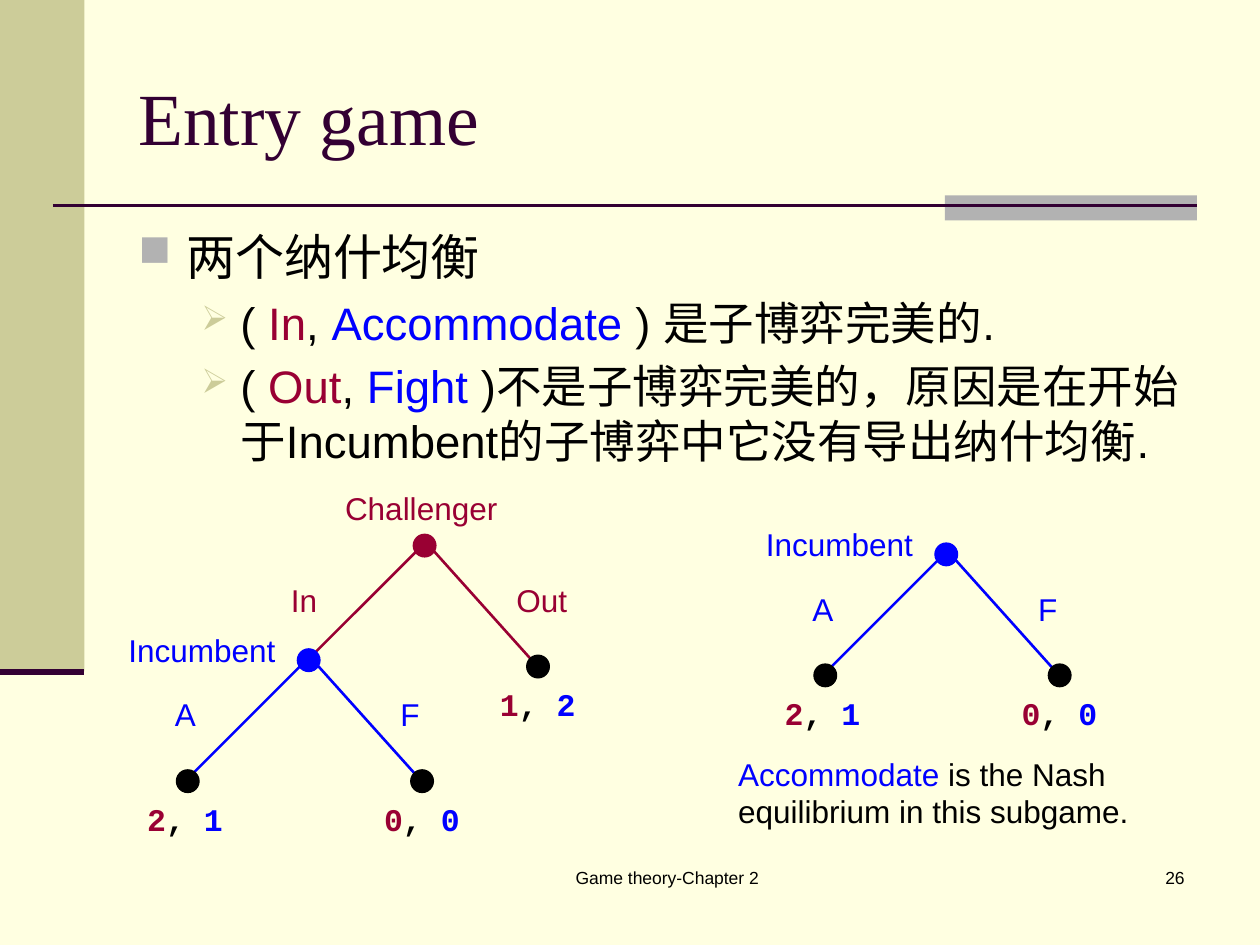
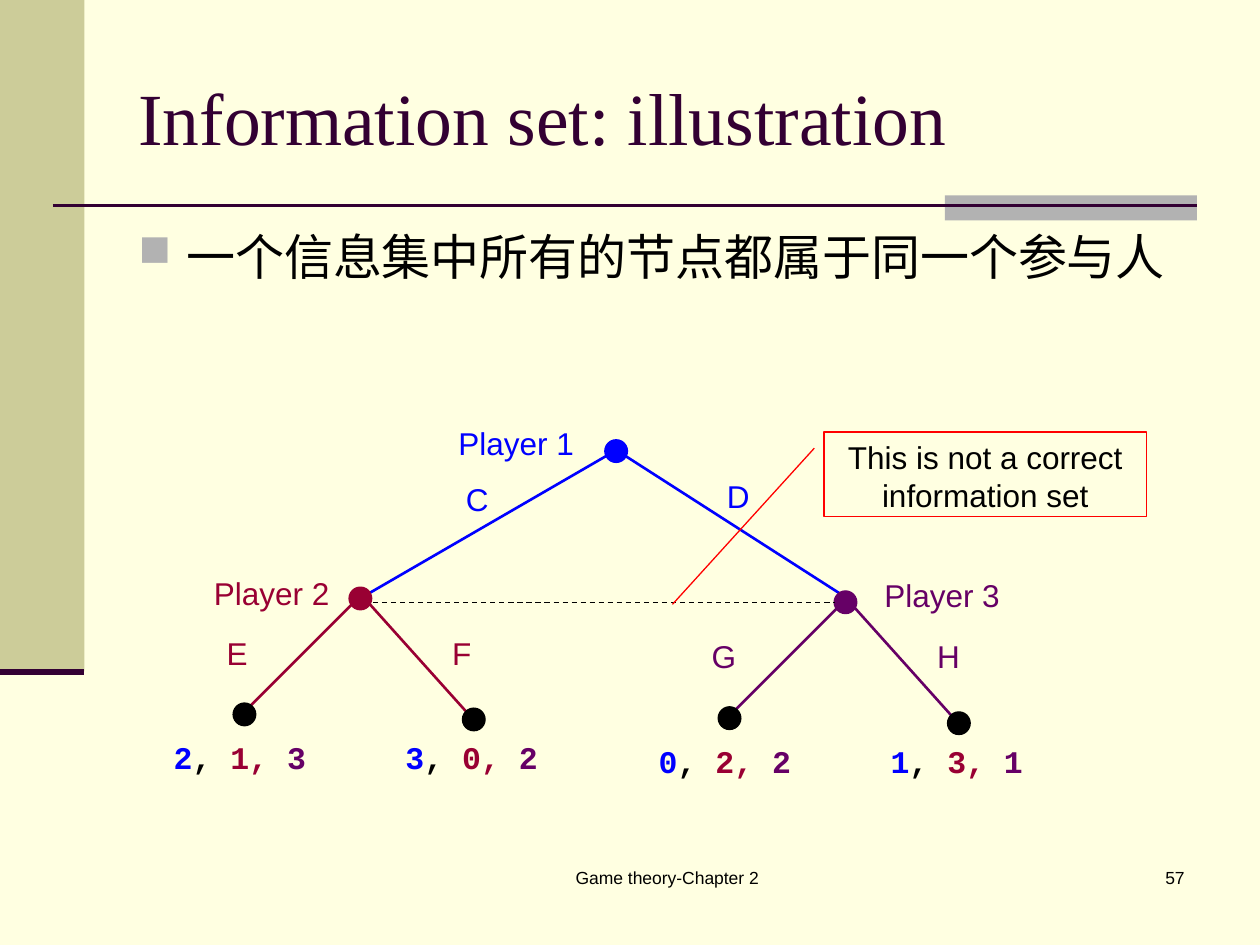
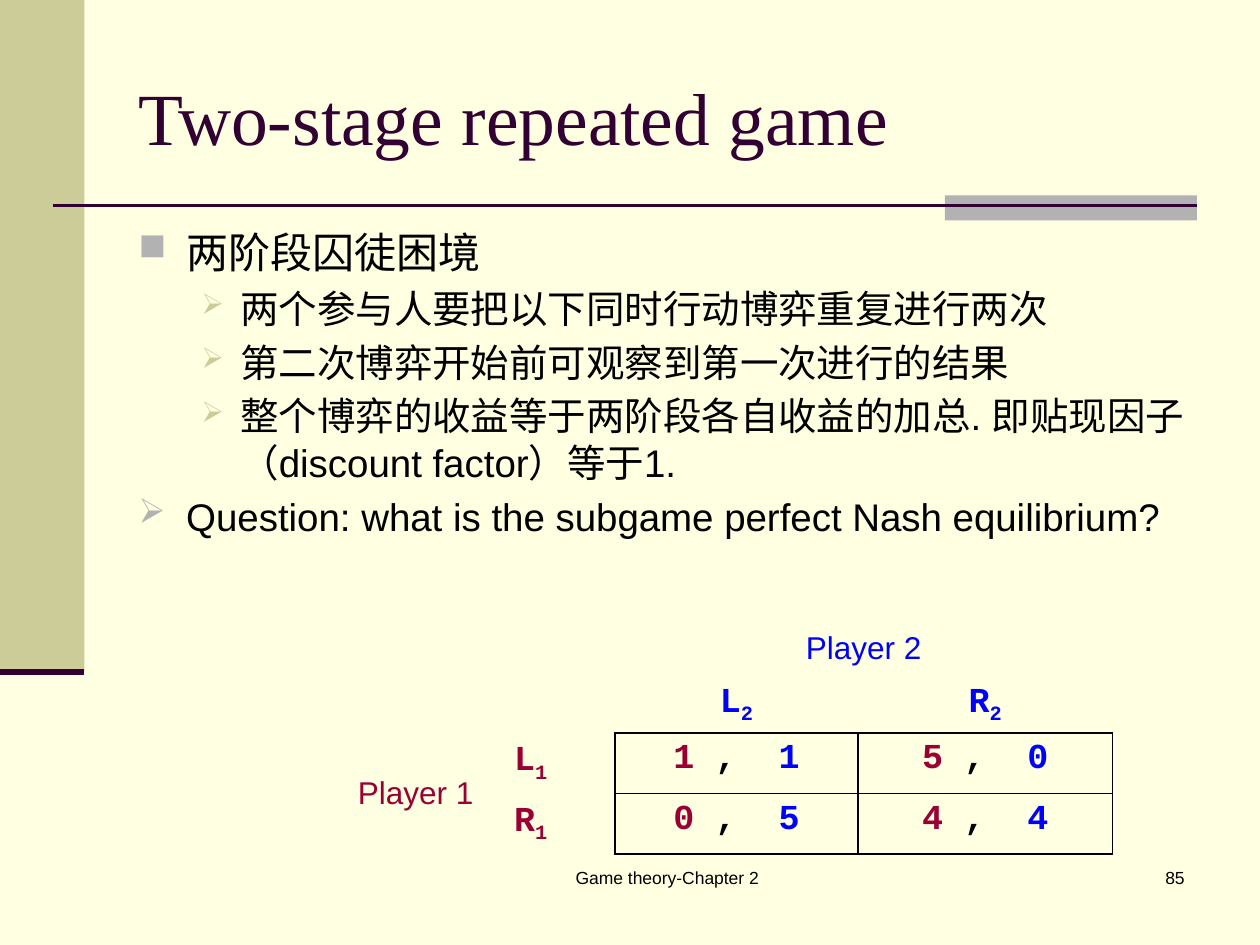
from lxml.etree import SubElement
from pptx import Presentation
from pptx.dml.color import RGBColor
from pptx.enum.dml import MSO_LINE
from pptx.enum.shapes import MSO_CONNECTOR, MSO_SHAPE
from pptx.enum.text import MSO_ANCHOR, PP_ALIGN
from pptx.oxml.ns import qn
from pptx.util import Inches, Pt

INK = {
    "page": "FFFFE1", "sand": "CCCC99", "grey": "B2B2B2", "plum": "330033",
    "black": "000000", "red": "990033", "blue": "0000FF",
    "violet": "660066", "alert": "FF0000",
}
SANS, SERIF, MONO = "Arial", "Times New Roman", "Courier New"
DOT = 0.18
NO_STYLE = "{2D5ABB26-0587-4C30-8999-92F81FD0307C}"


def rgb(ink):
    return RGBColor.from_string(INK[ink])


def write(para, text, size=18, font=SANS, ink="black", bold=False,
          align=PP_ALIGN.LEFT):
    """Fill a paragraph; text is a string or a list of (text, ink[, base])."""
    para.alignment = align
    for part, tint, *base in [(text, ink)] if isinstance(text, str) else text:
        run = para.add_run()
        run.text = part
        run.font.size, run.font.name, run.font.bold = Pt(size), font, bold
        run.font.color.rgb = rgb(tint)
        if base:
            run.font._element.set("baseline", str(base[0] * 1000))


def label(slide, box, text, anchor=MSO_ANCHOR.TOP, **form):
    frame = slide.shapes.add_textbox(*map(Inches, box)).text_frame
    frame.word_wrap = True
    frame.vertical_anchor = anchor
    write(frame.paragraphs[0], text, **form)


def shape(slide, kind, box, fill=None, line=None):
    item = slide.shapes.add_shape(kind, *map(Inches, box))
    item.shadow.inherit = False
    if fill:
        item.fill.solid()
        item.fill.fore_color.rgb = rgb(fill)
    else:
        item.fill.background()
    if line:
        item.line.color.rgb = rgb(line)
        item.line.width = Pt(0.75)
    else:
        item.line.fill.background()
    return item


def line(slide, start, end, ink, width=1.5, dash=None):
    item = slide.shapes.add_connector(
        MSO_CONNECTOR.STRAIGHT, *map(Inches, (*start, *end)))
    item.line.color.rgb = rgb(ink)
    item.line.width = Pt(width)
    if dash:
        item.line.dash_style = dash
    SubElement(item._element.spPr, qn("a:effectLst"))


def dot(slide, x, y, ink="black"):
    box = (x - DOT / 2, y - DOT / 2, DOT, DOT)
    shape(slide, MSO_SHAPE.OVAL, box, ink, ink)


def page(deck, title, number):
    """Add a slide with the shared bands, rules, title and footer."""
    slide = deck.slides.add_slide(deck.slide_layouts[6])
    slide.background.fill.solid()
    slide.background.fill.fore_color.rgb = rgb("page")
    shape(slide, MSO_SHAPE.RECTANGLE, (0, 0, 0.67, 5.33), "sand")
    shape(slide, MSO_SHAPE.RECTANGLE, (7.5, 1.55, 2, 0.2), "grey")
    line(slide, (0.42, 1.63), (9.5, 1.63), "plum")
    line(slide, (0, 5.33), (0.67, 5.33), "plum", 3.5)
    label(slide, (3.67, 6.83, 3.25, 0.5), "Game theory-Chapter 2",
          size=10, align=PP_ALIGN.CENTER)
    label(slide, (7.42, 6.83, 2.08, 0.5), str(number),
          size=10, align=PP_ALIGN.RIGHT)
    label(slide, (1, 0.3, 8.5, 1.25), title, MSO_ANCHOR.MIDDLE,
          size=42, font=SERIF, ink="plum")
    return slide


def bullet(para, level, mark):
    left, hang, ink, scale = [(0.38, 0.38, "grey", 90),
                              (0.81, 0.31, "sand", 75)][level]
    para.level = level
    props = para._p.get_or_add_pPr()
    props.set("marL", str(Inches(left)))
    props.set("indent", str(-Inches(hang)))
    tint = SubElement(props, qn("a:buClr"))
    SubElement(tint, qn("a:srgbClr")).set("val", INK[ink])
    SubElement(props, qn("a:buSzPct")).set("val", str(scale * 1000))
    SubElement(props, qn("a:buChar")).set("char", mark)


def body(slide, height, items):
    """Bulleted text; each item is (level, mark, size, text)."""
    box = slide.shapes.add_textbox(*map(Inches, (1, 1.75, 8.5, height)))
    frame = box.text_frame
    frame.word_wrap = True
    for i, (level, mark, size, text) in enumerate(items):
        para = frame.add_paragraph() if i else frame.paragraphs[0]
        bullet(para, level, mark)
        if i:
            para.space_before = Pt(0.2 * size)
        write(para, text, size=size)


def payoff(slide, x, y, nums, inks):
    """Payoffs in the players' colours, with a black first comma."""
    runs = [(nums[0], inks[0]), (", ", "black")]
    runs += [(n + ", ", ink) for n, ink in zip(nums[1:-1], inks[1:])]
    runs.append((nums[-1], inks[-1]))
    label(slide, (x, y, 0.46 * len(nums) - 0.08, 0.4), runs,
          font=MONO, bold=True)


def fork(slide, x, y, name, spot, ink, moves, pays, inks, reach=0.92):
    """Decision node at (x, y) with two moves; no payoff means no leaf."""
    dx, dy, width = spot
    dot(slide, x, y, ink)
    label(slide, (x + dx, y + dy, width, 0.4), name, ink=ink)
    sides = [((-0.07, 0.05), (-0.91, 0.89), -1.16, (-reach, reach)),
             ((0.07, 0.04), (0.86, 0.92), 0.63, (0.9, 0.96))]
    for (start, end, shift, leaf), move, nums in zip(sides, moves, pays):
        line(slide, (x + start[0], y + start[1]),
             (x + end[0], y + end[1]), ink)
        wide = 0.63 if len(move) > 2 else 0.47
        label(slide, (x + shift, y + 0.23, wide, 0.4), move, ink=ink)
        if nums:
            dot(slide, x + leaf[0], y + leaf[1])
            gap = 0.42 if len(nums) == 2 else 0.66
            left = x + leaf[0] - gap if leaf[0] < 0 else x + 0.92 - gap
            payoff(slide, left, y + 1.06, nums, inks)


def entry(deck):
    slide = page(deck, "Entry game", 26)
    body(slide, 2.06, [
        (0, "■", 28, "两个纳什均衡"),
        (1, "➢", 26, [("( ", "black"), ("In", "red"), (", ", "black"),
                      ("Accommodate", "blue"),
                      (" ) 是子博弈完美的.", "black")]),
        (1, "➢", 26, [("( ", "black"), ("Out", "red"), (", ", "black"),
                      ("Fight", "blue"),
                      (" )不是子博弈完美的，原因是在开始于Incumbent的子博弈中"
                       "它没有导出纳什均衡.", "black")]),
    ])
    pair = ("red", "blue")
    fork(slide, 3.37, 4.33, "Challenger", (-0.73, -0.5, 1.47), "red",
         ("In", "Out"), (None, "12"), pair)
    for x, y in [(2.45, 5.24), (7.51, 4.4)]:
        fork(slide, x, y, "Incumbent", (-1.53, -0.28, 1.37), "blue",
             "AF", ("21", "00"), pair, reach=0.96)
    label(slide, (5.76, 5.94, 3.36, 0.7),
          [("Accommodate", "blue"),
           (" is the Nash equilibrium in this subgame.", "black")])


def info(deck):
    slide = page(deck, "Information set: illustration", 57)
    body(slide, 1.06, [(0, "■", 28, "一个信息集中所有的节点都属于同一个参与人")])
    dot(slide, 4.89, 3.58, "blue")
    line(slide, (4.81, 3.62), (2.91, 4.72), "blue")
    line(slide, (4.95, 3.61), (6.68, 4.72), "blue")
    for text, x, y, width in [("Player 1", 3.54, 3.32, 1.18),
                              ("C", 3.6, 3.76, 0.47),
                              ("D", 5.67, 3.74, 0.47)]:
        label(slide, (x, y, width, 0.4), text, ink="blue")
    trio = ("blue", "red", "violet")
    fork(slide, 2.86, 4.75, "Player 2", (-1.26, -0.24, 1.2), "red",
         "EF", ("213", "302"), trio)
    fork(slide, 6.71, 4.78, "Player 3", (0.21, -0.26, 1.2), "violet",
         "GH", ("022", "131"), trio)
    line(slide, (2.96, 4.78), (6.63, 4.78), "black", 0.75, MSO_LINE.DASH)
    note = shape(slide, MSO_SHAPE.LINE_CALLOUT_1, (6.54, 3.43, 2.56, 0.67),
                 line="alert")
    for i, value in enumerate((0.19, -0.03, 2.04, -0.47)):
        note.adjustments[i] = value
    note.text_frame.word_wrap = True
    note.text_frame.vertical_anchor = MSO_ANCHOR.TOP
    write(note.text_frame.paragraphs[0],
          "This is not a correct information set", align=PP_ALIGN.CENTER)


def border(cell):
    props = cell._tc.get_or_add_tcPr()
    for i, side in enumerate(("lnL", "lnR", "lnT", "lnB")):
        edge = SubElement(props, qn("a:" + side))
        edge.set("w", str(Pt(1)))
        fill = SubElement(edge, qn("a:solidFill"))
        SubElement(fill, qn("a:srgbClr")).set("val", INK["black"])
        props.insert(i, edge)


def matrix(slide, x, y):
    """Payoff table of the stage game."""
    wide, tall = (1.24, 0.9, 1.93, 2.02), (0.41, 0.45, 0.45, 0.45)
    frame = slide.shapes.add_table(
        4, 4, *map(Inches, (x, y, sum(wide), sum(tall))))
    grid = frame.table
    grid.first_row = grid.horz_banding = False
    for style in frame._element.iter(qn("a:tableStyleId")):
        style.text = NO_STYLE
    for col, width in zip(grid.columns, wide):
        col.width = Inches(width)
    for row, height in zip(grid.rows, tall):
        row.height = Inches(height)
    for cell in grid.iter_cells():
        cell.fill.background()
    grid.cell(0, 2).merge(grid.cell(0, 3))
    grid.cell(2, 0).merge(grid.cell(3, 0))

    def put(row, col, text, anchor=MSO_ANCHOR.TOP, **form):
        cell = grid.cell(row, col)
        cell.vertical_anchor = anchor
        write(cell.text_frame.paragraphs[0], text, **form)

    code = dict(size=20, font=MONO, bold=True)
    mid = dict(align=PP_ALIGN.CENTER)
    put(0, 2, "Player 2", MSO_ANCHOR.BOTTOM, ink="blue", **mid)
    put(2, 0, "Player 1", MSO_ANCHOR.MIDDLE, ink="red")
    for i, move in enumerate("LR", 2):
        put(1, i, [(move, "blue"), ("2", "blue", -25)],
            MSO_ANCHOR.BOTTOM, **code, **mid)
        put(i, 1, [(move, "red"), ("1", "red", -25)],
            MSO_ANCHOR.MIDDLE, **code)
    for row, pairs in enumerate((("11", "50"), ("05", "44")), 2):
        for col, (one, two) in enumerate(pairs, 2):
            put(row, col, [(one + " ", "red"), (", ", "black"),
                           (" " + two, "blue")], **code, **mid)
            border(grid.cell(row, col))


def stage(deck):
    slide = page(deck, "Two-stage repeated game", 85)
    body(slide, 3.16, [
        (0, "■", 24, "两阶段囚徒困境"),
        (1, "➢", 22, "两个参与人要把以下同时行动博弈重复进行两次"),
        (1, "➢", 22, "第二次博弈开始前可观察到第一次进行的结果"),
        (1, "➢", 22, "整个博弈的收益等于两阶段各自收益的加总. "
                     "即贴现因子（discount factor）等于1."),
        (0, "➢", 22, "Question: what is the subgame perfect "
                     "Nash equilibrium?"),
    ])
    matrix(slide, 2.74, 4.93)


def main():
    deck = Presentation()
    deck.slide_width, deck.slide_height = Inches(10), Inches(7.5)
    for build in (entry, info, stage):
        build(deck)
    deck.save("out.pptx")


if __name__ == "__main__":
    main()
